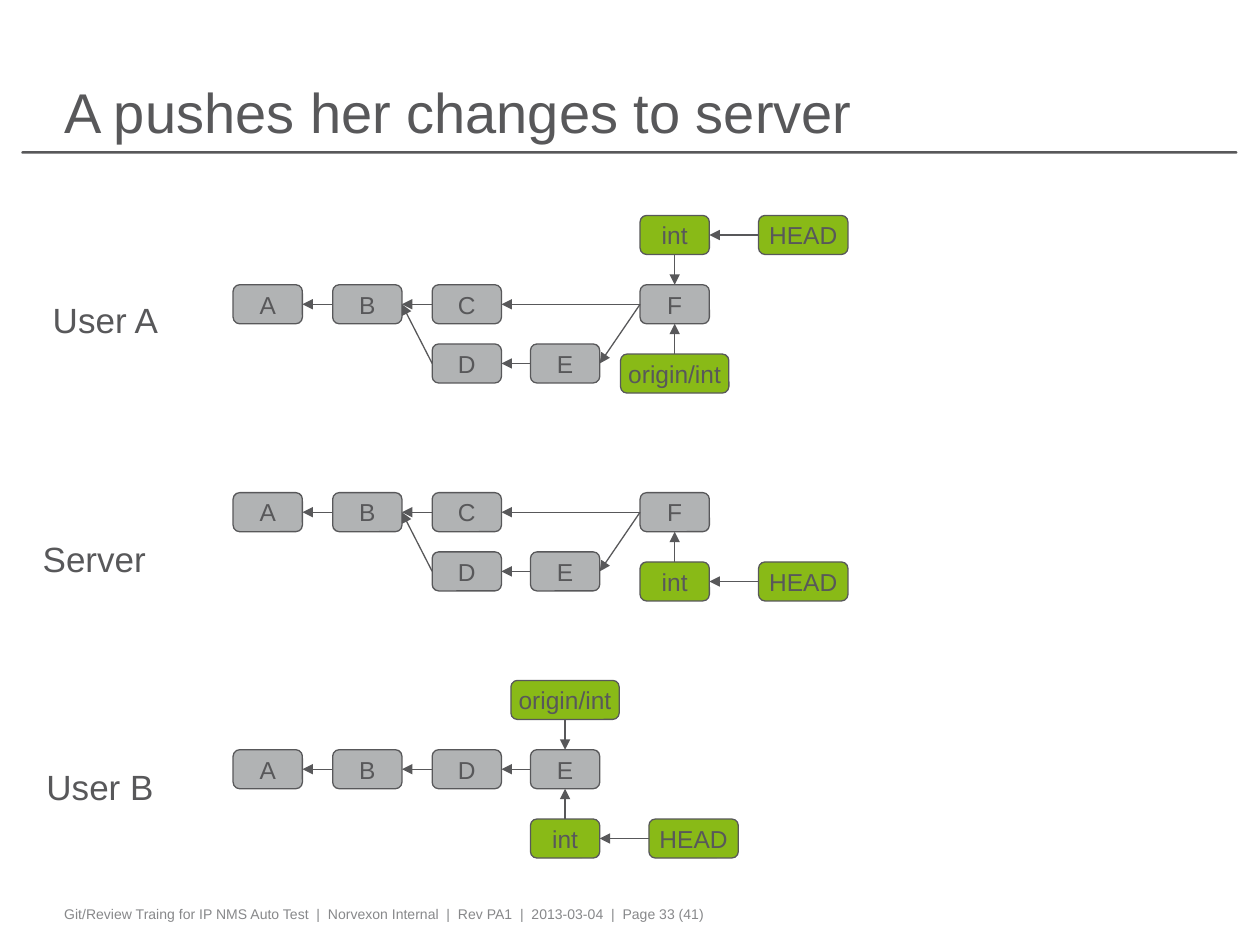
from lxml import etree
from pptx import Presentation
from pptx.dml.color import RGBColor
from pptx.enum.shapes import MSO_CONNECTOR as CONN, MSO_SHAPE as SHAPE
from pptx.enum.text import MSO_ANCHOR as ANCHOR, MSO_AUTO_SIZE as AUTO, PP_ALIGN as ALIGN
from pptx.oxml.ns import qn
from pptx.util import Inches, Pt

COLORS = {"ink": "58585A", "commit": "B1B3B4", "ref": "89BA17", "footer": "87888A"}
FONT = "Arial"
BOX_W, BOX_H = 0.55, 0.31
COLUMNS = [0, 0.79, 1.58, 2.36, 3.23]
ROW_STEP = 0.47
REF_STEP = 0.55
HEAD_STEP = 0.94
REF_WIDTHS = {"int": BOX_W, "HEAD": 0.71, "origin/int": 0.86}
TOP, LEFT, BOTTOM, RIGHT = range(4)

MERGED_COMMITS = {"A": (0, 0), "B": (1, 0), "C": (2, 0), "D": (2, 1), "E": (3, 1), "F": (4, 0)}
MERGED_PARENTS = ["BA", "CB", "DB", "ED", "FC", "FE"]
LINEAR_COMMITS = {"A": (0, 0), "B": (1, 0), "D": (2, 0), "E": (3, 0)}
LINEAR_PARENTS = ["BA", "DB", "ED"]


def color(name):
    return RGBColor.from_string(COLORS[name])


def write(tf, text, size, ink="ink", before=0):
    p = tf.paragraphs[0]
    p.space_before = Pt(before)
    r = p.add_run()
    r.text = text
    r.font.name = FONT
    r.font.size = Pt(size)
    r.font.color.rgb = color(ink)
    return p


def add_text(s, box, text, size, ink="ink", before=0, inset=(0.08, 0.05), wrap=True):
    tf = s.shapes.add_textbox(*map(Inches, box)).text_frame
    tf.word_wrap = wrap
    tf.margin_left = tf.margin_right = Inches(inset[0])
    tf.margin_top = tf.margin_bottom = Inches(inset[1])
    write(tf, text, size, ink, before)
    return tf


def add_node(s, x, y, w, text, fill):
    sp = s.shapes.add_shape(SHAPE.ROUNDED_RECTANGLE, *map(Inches, (x, y, w, BOX_H)))
    sp.shadow.inherit = False
    sp.fill.solid()
    sp.fill.fore_color.rgb = color(fill)
    sp.line.color.rgb = color("ink")
    sp.line.width = Pt(0.75)
    tf = sp.text_frame
    tf.word_wrap = False
    tf.vertical_anchor = ANCHOR.MIDDLE
    write(tf, text, 14, before=8.8).alignment = ALIGN.CENTER
    return sp


def add_arrow(s, source, source_side, target, target_side):
    line = s.shapes.add_connector(CONN.STRAIGHT, 0, 0, 0, 0)
    line.begin_connect(source, source_side)
    line.end_connect(target, target_side)
    line.line.color.rgb = color("ink")
    line.line.width = Pt(0.75)
    etree.SubElement(line.line._get_or_add_ln(), qn("a:tailEnd"), type="triangle")
    etree.SubElement(line._element.spPr, qn("a:effectLst"))


def add_history(s, x, y, commits, parents, tip, refs):
    nodes = {}
    for name, (column, row) in commits.items():
        nodes[name] = add_node(s, x + COLUMNS[column], y + row * ROW_STEP, BOX_W, name, "commit")
    for child, parent in parents:
        add_arrow(s, nodes[child], LEFT, nodes[parent], RIGHT)

    tip_x = x + COLUMNS[commits[tip][0]]
    for name, direction in refs.items():
        w = REF_WIDTHS[name]
        ref_y = y + direction * REF_STEP
        ref = add_node(s, tip_x + (BOX_W - w) / 2, ref_y, w, name, "ref")
        sides = (TOP, BOTTOM) if direction > 0 else (BOTTOM, TOP)
        add_arrow(s, ref, sides[0], nodes[tip], sides[1])
        if name == "int":
            head = add_node(s, tip_x + HEAD_STEP, ref_y, REF_WIDTHS["HEAD"], "HEAD", "ref")
            add_arrow(s, head, LEFT, ref, RIGHT)


def add_caption(s, x, y, text):
    tf = add_text(s, (x, y, 1.05, 0.44), text, 20, before=12.5, inset=(0.1, 0.05), wrap=False)
    tf.auto_size = AUTO.SHAPE_TO_FIT_TEXT


def add_header(s, x, y, w, h):
    tf = add_text(s, (x + 0.26, y, 8.56, h - 0.05), "A pushes her changes to server", 32, inset=(0.08, 0))
    tf.vertical_anchor = ANCHOR.BOTTOM
    rule = s.shapes.add_shape(SHAPE.ROUNDED_RECTANGLE, *map(Inches, (x, y + h, w, 0.02)))
    rule.adjustments[0] = 0.5
    rule.shadow.inherit = False
    rule.fill.solid()
    rule.fill.fore_color.rgb = color("ink")
    rule.line.fill.background()


def add_footer(s, x, y, w, h):
    parts = ["Git/Review Traing for IP NMS Auto Test", "Norvexon Internal", "Rev PA1",
             "2013-03-04", "Page 33 (41)"]
    add_text(s, (x, y, w, h), "  |  ".join(parts), 8, "footer", before=5)


def main():
    prs = Presentation()
    prs.slide_width, prs.slide_height = Inches(10), Inches(7.5)
    s = prs.slides.add_slide(prs.slide_layouts[6])
    add_header(s, 0.17, 0.62, 9.65, 0.58)
    add_caption(s, 0.32, 2.32, "User A")
    add_history(s, 1.85, 2.26, MERGED_COMMITS, MERGED_PARENTS, "F", {"int": -1, "origin/int": 1})
    add_caption(s, 0.24, 4.22, "Server")
    add_history(s, 1.85, 3.91, MERGED_COMMITS, MERGED_PARENTS, "F", {"int": 1})
    add_caption(s, 0.27, 6.03, "User B")
    add_history(s, 1.85, 5.95, LINEAR_COMMITS, LINEAR_PARENTS, "E", {"origin/int": -1, "int": 1})
    add_footer(s, 0.43, 7.14, 8.09, 0.24)
    prs.save("out.pptx")


if __name__ == "__main__":
    main()
